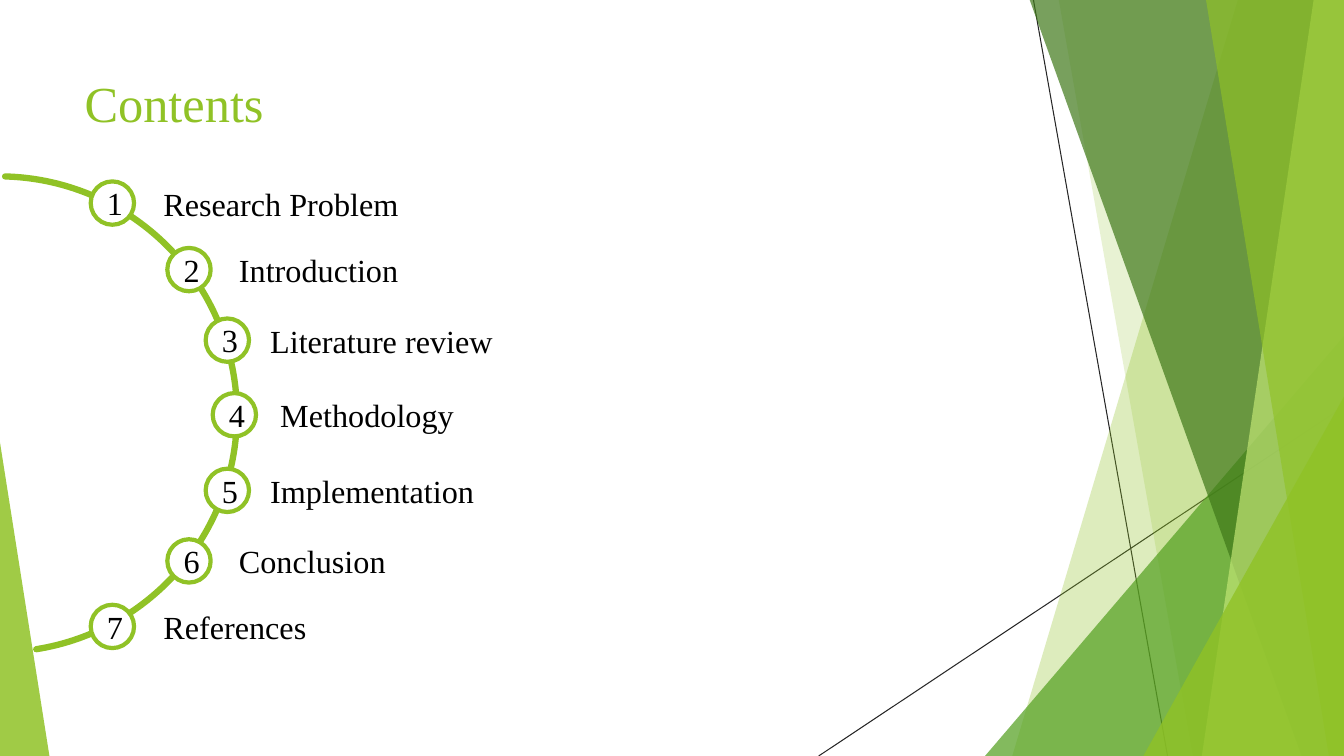
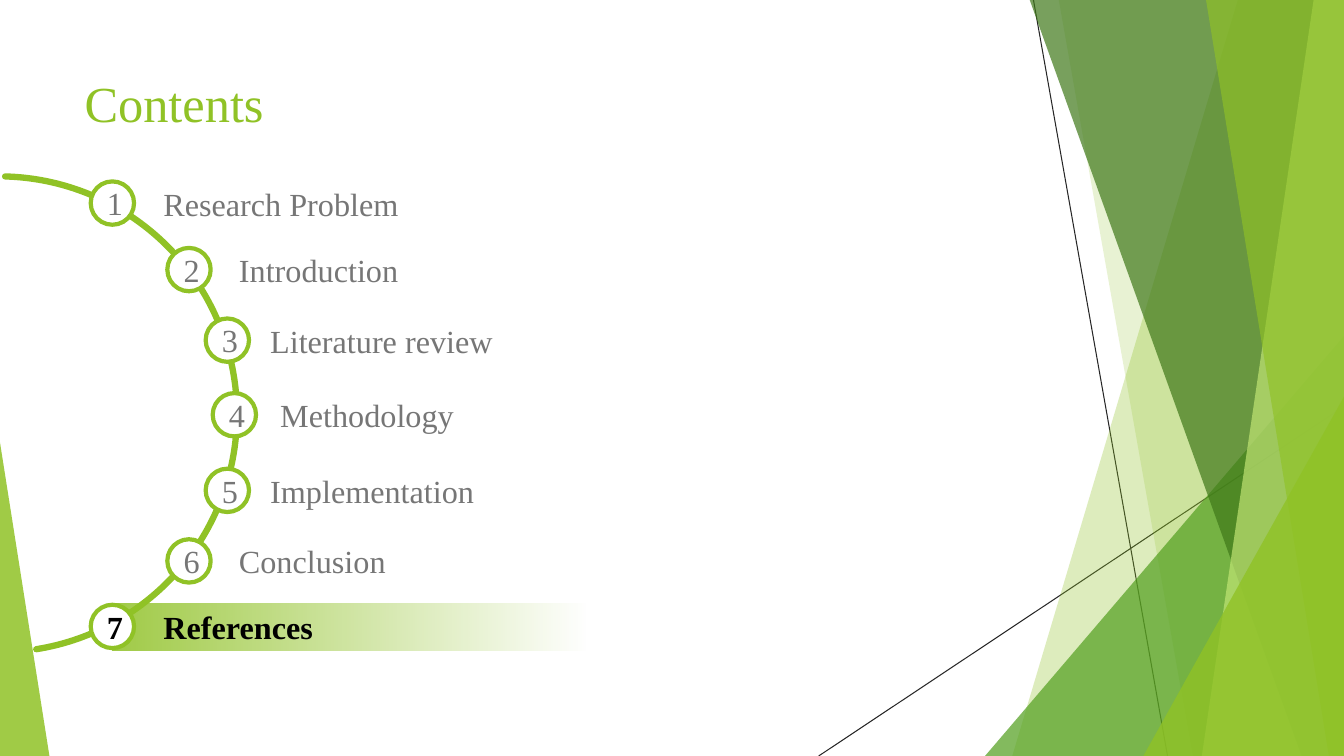
from dataclasses import dataclass

from pptx import Presentation
from pptx.dml.color import RGBColor as RGB
from pptx.enum.shapes import MSO_CONNECTOR, MSO_SHAPE as SHAPE
from pptx.enum.text import MSO_ANCHOR as ANCHOR, MSO_AUTO_SIZE as FIT, PP_ALIGN as ALIGN
from pptx.oxml.ns import qn
from pptx.util import Inches, Pt
from lxml.etree import SubElement


@dataclass(frozen=True)
class Theme:
    lime: str = "90C226"
    green: str = "54A021"
    forest: str = "3F7819"
    pale: str = "C0E474"
    white: str = "FFFFFF"
    ink: str = "000000"
    muted: str = "767676"
    hairline: str = "262626"
    font: str = "Times New Roman"
    title_size: float = 36
    item_size: float = 23
    thin: float = 0.75
    ring: float = 3
    curve: float = 4.5


ROWS = 75
COLS = 133.33
BADGE = 4.3
LABEL_HEIGHT = 3.9
BOLD_GROWTH = 1.04
DEGREE = 0.6

ITEMS = [
    ("Research Problem", 9, 18, 16.2, 23.6),
    ("Introduction", 16.6, 24.6, 23.7, 15.9),
    ("Literature review", 20.4, 31.6, 26.8, 22.3),
    ("Methodology", 21.1, 39, 27.8, 17.4),
    ("Implementation", 20.4, 46.5, 26.8, 20.4),
    ("Conclusion", 16.6, 53.5, 23.7, 14.7),
    ("References", 9, 60, 16.2, 14.4),
]


def write(tf, text, *, font, size, color, bold=False, align=ALIGN.LEFT, anchor=ANCHOR.TOP):
    tf.vertical_anchor = anchor
    p = tf.paragraphs[0]
    p.alignment = align
    r = p.add_run()
    r.text = text
    r.font.name = font
    r.font.size = Pt(size)
    r.font.bold = bold
    r.font.color.rgb = RGB.from_string(color)


class Deck:
    def __init__(self, theme):
        self.theme = theme
        self.prs = Presentation()
        self.prs.slide_width = Inches(13.33)
        self.prs.slide_height = Inches(7.5)
        self.cell = self.prs.slide_height / ROWS
        self.slide = None

    def grid(self, *cells):
        return [round(n * self.cell) for n in cells]

    def new_slide(self):
        self.slide = self.prs.slides.add_slide(self.prs.slide_layouts[6])

    def paint(self, sp, *stops, line=None, width=0):
        sp.shadow.inherit = False
        if not stops:
            sp.fill.background()
        elif len(stops) == 1:
            sp.fill.solid()
            sp.fill.fore_color.rgb = RGB.from_string(stops[0][0])
        else:
            sp.fill.gradient()
            sp.fill.gradient_angle = 0
            for stop, (color, _) in zip(sp.fill.gradient_stops, stops):
                stop.color.rgb = RGB.from_string(color)
        for clr, (_, opacity) in zip(sp.element.iter(qn("a:srgbClr")), stops):
            if opacity < 100:
                SubElement(clr, qn("a:alpha")).set("val", str(opacity * 1000))
        if line:
            sp.line.color.rgb = RGB.from_string(line)
            sp.line.width = Pt(width)
        else:
            sp.line.fill.background()

    def shape(self, kind, box, *stops, adjust=(), **outline):
        sp = self.slide.shapes.add_shape(kind, *self.grid(*box))
        for i, value in enumerate(adjust):
            sp.adjustments[i] = value
        self.paint(sp, *stops, **outline)
        return sp

    def hairline(self, *ends):
        c = self.slide.shapes.add_connector(MSO_CONNECTOR.STRAIGHT, *self.grid(*ends))
        c.line.color.rgb = RGB.from_string(self.theme.hairline)
        c.line.width = Pt(self.theme.thin)
        SubElement(c.element.spPr, qn("a:effectLst"))

    def facet(self, top_x, bottom_x, color, opacity):
        top = -0.1
        corners = [(top_x, top), (COLS, top), (COLS, ROWS), (bottom_x, ROWS)]
        start, *rest = [self.grid(*corner) for corner in corners]
        outline = self.slide.shapes.build_freeform(*start)
        outline.add_line_segments(rest, close=True)
        self.paint(outline.convert_to_shape(), (color, opacity))

    def wedge(self, left, right, top, apex, color, opacity):
        box = (left, top, right - left, ROWS - top)
        self.shape(SHAPE.ISOSCELES_TRIANGLE, box, (color, opacity), adjust=[apex])

    def backdrop(self):
        t = self.theme
        self.hairline(102.5, 0, 115.8, ROWS)
        self.hairline(COLS, 40.3, 81.2, ROWS)
        self.facet(122.8, 100.4, t.lime, 30)
        self.facet(105, 118.3, t.lime, 20)
        self.wedge(97.7, COLS, 33.3, 1, t.green, 72)
        self.facet(102.1, 129.1, t.forest, 70)
        self.facet(130.3, 119.2, t.pale, 70)
        self.facet(119.6, 131.8, t.lime, 65)
        self.wedge(113.4, COLS, 39.3, 1, t.lime, 80)
        self.wedge(0, 4.9, 43.9, 0, t.lime, 85)

    def textbox(self, box, text, **fmt):
        sp = self.slide.shapes.add_textbox(*self.grid(*box))
        write(sp.text_frame, text, font=self.theme.font, **fmt)
        sp.text_frame.auto_size = FIT.SHAPE_TO_FIT_TEXT
        return sp.text_frame

    def title(self, text):
        tf = self.textbox((7.4, 6.7, 94, 7.1), text,
                          size=self.theme.title_size, color=self.theme.lime)
        tf.word_wrap = True

    def highlight(self, left, top):
        lime = self.theme.lime
        self.shape(SHAPE.RECTANGLE, (left + BADGE / 2, top - 0.1, 47.2, 4.6),
                   (lime, 85), (lime, 0))

    def curve(self):
        sp = self.shape(SHAPE.ARC, (-23.7, 17.5, 47.2, 47.2),
                        adjust=[271.48 * DEGREE, 80.99 * DEGREE],
                        line=self.theme.lime, width=self.theme.curve)
        sp.element.spPr.find(qn("a:ln")).set("cap", "rnd")

    def badge(self, number, left, top, **fmt):
        sp = self.shape(SHAPE.OVAL, (left, top, BADGE, BADGE), (self.theme.white, 100),
                        line=self.theme.lime, width=self.theme.ring)
        write(sp.text_frame, str(number), font=self.theme.font,
              align=ALIGN.CENTER, anchor=ANCHOR.MIDDLE, **fmt)

    def label(self, text, left, top, width, **fmt):
        tf = self.textbox((left, top, width, LABEL_HEIGHT), text,
                          anchor=ANCHOR.MIDDLE, **fmt)
        tf.margin_left = tf.margin_right = tf.margin_top = tf.margin_bottom = 0
        tf.word_wrap = False

    def contents(self, current=None):
        t = self.theme
        self.new_slide()
        self.backdrop()
        if current:
            _, left, top, _, _ = ITEMS[current - 1]
            self.highlight(left, top)
        self.title("Contents")
        self.curve()
        for number, (text, left, top, label_left, width) in enumerate(ITEMS, 1):
            bold = number == current
            color = t.ink if bold or current is None else t.muted
            fmt = dict(size=t.item_size, color=color, bold=bold)
            self.badge(number, left, top, **fmt)
            self.label(text, label_left, top + (BADGE - LABEL_HEIGHT) / 2,
                       width * (BOLD_GROWTH if bold else 1), **fmt)


def main():
    deck = Deck(Theme())
    deck.contents()
    deck.contents(current=len(ITEMS))
    deck.prs.save("out.pptx")


if __name__ == "__main__":
    main()
